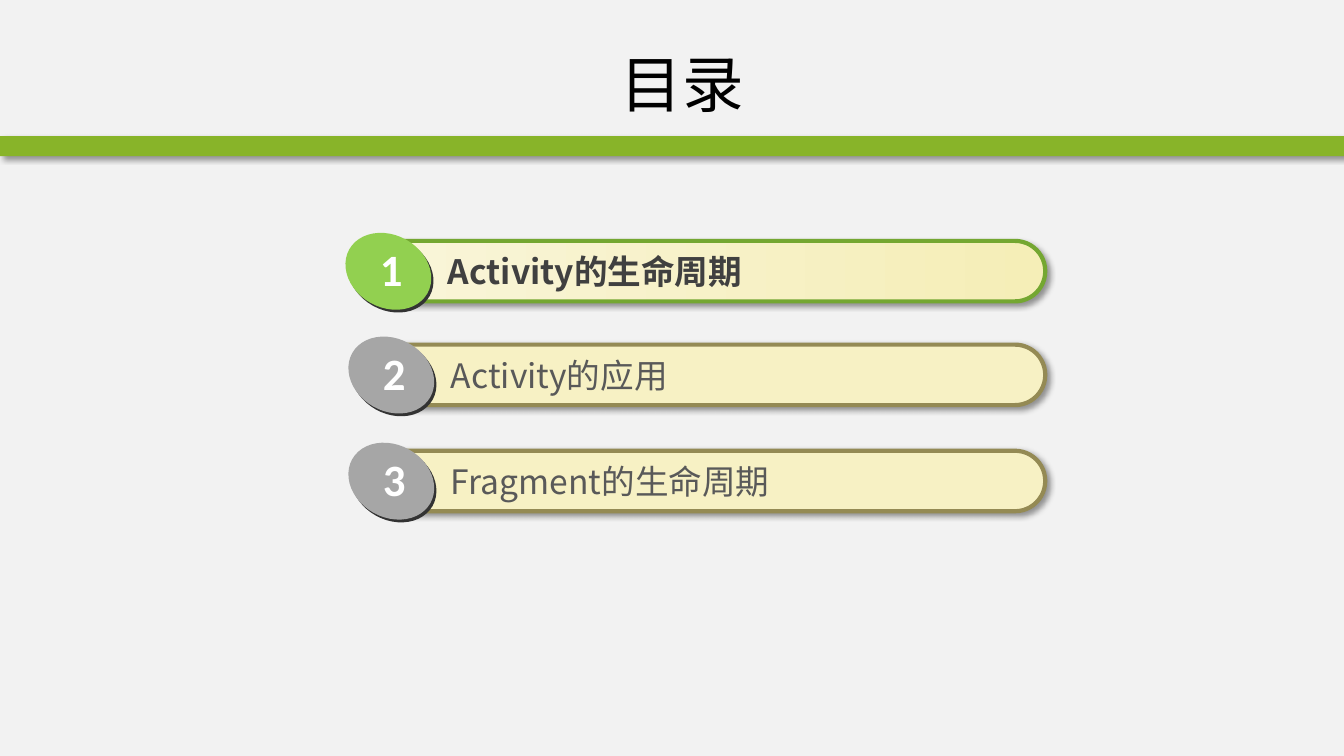
"""Build the table-of-contents slide."""
from lxml.etree import SubElement
from pptx import Presentation
from pptx.dml.color import RGBColor
from pptx.enum.shapes import MSO_SHAPE
from pptx.enum.text import MSO_ANCHOR, MSO_AUTO_SIZE, PP_ALIGN
from pptx.oxml.ns import qn
from pptx.util import Pt

BACKGROUND = RGBColor(0xF2, 0xF2, 0xF2)
BAND_GREEN = RGBColor(0x88, 0xB4, 0x29)
ACTIVE_EDGE = RGBColor(0x74, 0xA7, 0x31)
ACTIVE_DISC = RGBColor(0x92, 0xD0, 0x50)
ACTIVE_TEXT = RGBColor(0x40, 0x40, 0x40)
ACTIVE_LEFT = RGBColor(0xF9, 0xF5, 0xD9)
ACTIVE_RIGHT = RGBColor(0xF5, 0xEE, 0xB7)
BAR_CREAM = RGBColor(0xF7, 0xF1, 0xC4)
BAR_EDGE = RGBColor(0x94, 0x8A, 0x54)
DISC_GREY = RGBColor(0xA6, 0xA6, 0xA6)
DISC_SHADE = RGBColor(0x33, 0x33, 0x33)
ENTRY_TEXT = RGBColor(0x59, 0x59, 0x59)
WHITE = RGBColor(0xFF, 0xFF, 0xFF)
BLACK = RGBColor(0, 0, 0)

CHINESE_FONT = "Noto Sans CJK SC"
NUMBER_FONT = "Calibri"
SLIDE_WIDTH, SLIDE_HEIGHT = 960, 540
BAR_RIGHT, BAR_HEIGHT = 746.6, 43.2
ACTIVE_STYLE = {"fill": (ACTIVE_LEFT, ACTIVE_RIGHT), "edge": ACTIVE_EDGE,
                "disc": ACTIVE_DISC, "text": ACTIVE_TEXT, "bold": True}
ENTRY_STYLE = {"fill": (BAR_CREAM,), "edge": BAR_EDGE,
               "disc": DISC_GREY, "text": ENTRY_TEXT, "bold": False}
ENTRIES = [
    ("Activity的生命周期", 261.4, 172.1, ACTIVE_STYLE),
    ("Activity的应用", 263.5, 246.2, ENTRY_STYLE),
    ("Fragment的生命周期", 263.5, 322, ENTRY_STYLE),
]


class ContentsSlide:
    """Hold the slide and draw its elements in one style."""

    def __init__(self, presentation):
        """Add a title-only slide with its background."""
        self.slide = presentation.slides.add_slide(presentation.slide_layouts[5])
        self.slide.background.fill.solid()
        self.slide.background.fill.fore_color.rgb = BACKGROUND

    def fill_text(self, frame, text, color, font_format, frame_format):
        """Fill a text frame and format it."""
        for name, value in frame_format.items():
            setattr(frame, name, value)
        run = frame.paragraphs[0].add_run()
        run.text = text
        for name, value in font_format.items():
            setattr(run.font, name, value)
        run.font.color.rgb = color
        SubElement(run.font._element, qn("a:ea"), typeface=font_format["name"])

    def title(self, text, box):
        """Place and format the title placeholder."""
        shape = self.slide.shapes.title
        for name, value in zip(("left", "top", "width", "height"), box):
            setattr(shape, name, Pt(value))
        self.fill_text(shape.text_frame, text, BLACK,
                       {"name": CHINESE_FONT, "size": Pt(44)},
                       {"vertical_anchor": MSO_ANCHOR.MIDDLE, "word_wrap": True})
        shape.text_frame.paragraphs[0].alignment = PP_ALIGN.CENTER

    def shape(self, shapes, kind, box, colors, edge=None, rotation=0):
        """Draw a preset shape with a solid or two-colour fill."""
        shape = shapes.add_shape(kind, *map(Pt, box))
        shape.shadow.inherit = False
        shape.rotation = rotation
        if len(colors) == 1:
            shape.fill.solid()
            shape.fill.fore_color.rgb = colors[0]
        else:
            shape.fill.gradient()
            shape.fill.gradient_angle = 0
            for position, (stop, color) in enumerate(zip(shape.fill.gradient_stops, colors)):
                stop.color.rgb = color
                stop.position = position
        if edge is None:
            shape.line.fill.background()
        else:
            shape.line.color.rgb = edge
            shape.line.width = Pt(3)
        return shape

    def cast_shadow(self, shape):
        """Give a shape a soft shadow to the lower right."""
        effects = shape._element.spPr.find(qn("a:effectLst"))
        shadow = SubElement(effects, qn("a:outerShdw"), blurRad=str(Pt(4)),
                            dist=str(Pt(3)), dir="2700000", algn="tl", rotWithShape="0")
        color = SubElement(shadow, qn("a:srgbClr"), val=str(BLACK))
        SubElement(color, qn("a:alpha"), val="40000")

    def label(self, shapes, text, box, color, font_format, wrap):
        """Add a text box that grows with its text."""
        text_box = shapes.add_textbox(*map(Pt, box))
        self.fill_text(text_box.text_frame, text, color, font_format,
                       {"word_wrap": wrap, "auto_size": MSO_AUTO_SIZE.SHAPE_TO_FIT_TEXT})

    def band(self, box):
        """Draw the band below the title."""
        self.cast_shadow(self.shape(self.slide.shapes, MSO_SHAPE.RECTANGLE, box, (BAND_GREEN,)))

    def entry(self, number, text, left, top, style):
        """Draw one numbered entry as a group."""
        shapes = self.slide.shapes.add_group_shape().shapes
        bar = self.shape(shapes, MSO_SHAPE.ROUNDED_RECTANGLE,
                         (left, top, BAR_RIGHT - left, BAR_HEIGHT), style["fill"], style["edge"])
        bar.adjustments[0] = 0.5
        self.cast_shadow(bar)
        self.label(shapes, text, (left + 51.5, top + 3.7, 385, 36.4), style["text"],
                   {"name": CHINESE_FONT, "size": Pt(24), "bold": style["bold"]}, True)
        for shift_x, shift_y, color in ((-14.4, -2.2, DISC_SHADE), (-16, -4.2, style["disc"])):
            self.shape(shapes, MSO_SHAPE.OVAL, (left + shift_x, top + shift_y, 64, 51.8),
                       (color,), rotation=29.3)
        self.label(shapes, str(number), (left + 2.9, top - 2.9, 31, 46), WHITE,
                   {"name": NUMBER_FONT, "size": Pt(32), "bold": True}, False)


def main():
    """Build and save the presentation."""
    presentation = Presentation()
    presentation.slide_width = Pt(SLIDE_WIDTH)
    presentation.slide_height = Pt(SLIDE_HEIGHT)
    contents = ContentsSlide(presentation)
    contents.band((0, 97.2, SLIDE_WIDTH, 14.4))
    contents.title("目录", (100, 21.6, 775, 75.6))
    for number, entry in enumerate(ENTRIES, 1):
        contents.entry(number, *entry)
    presentation.save("out.pptx")


if __name__ == "__main__":
    main()
